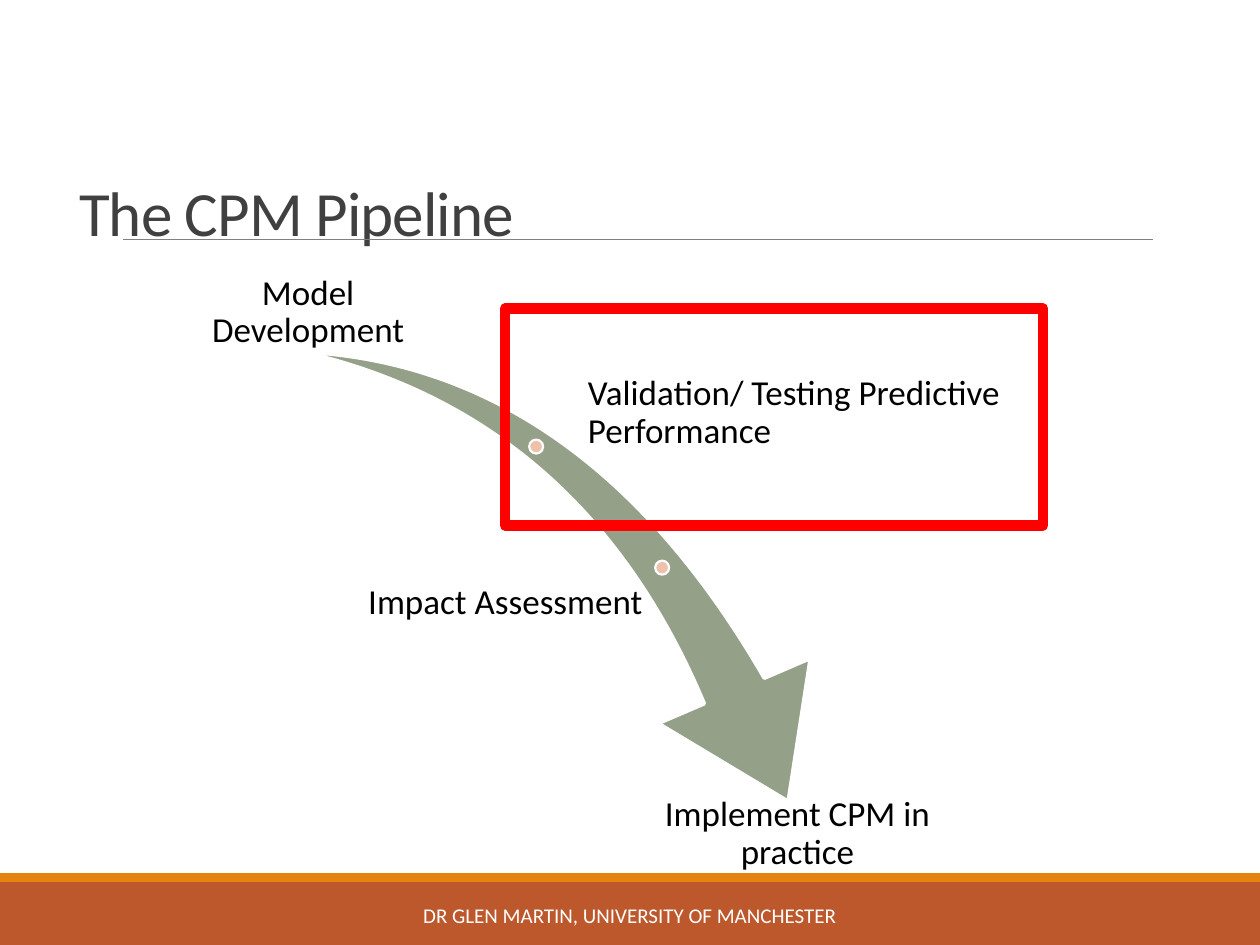
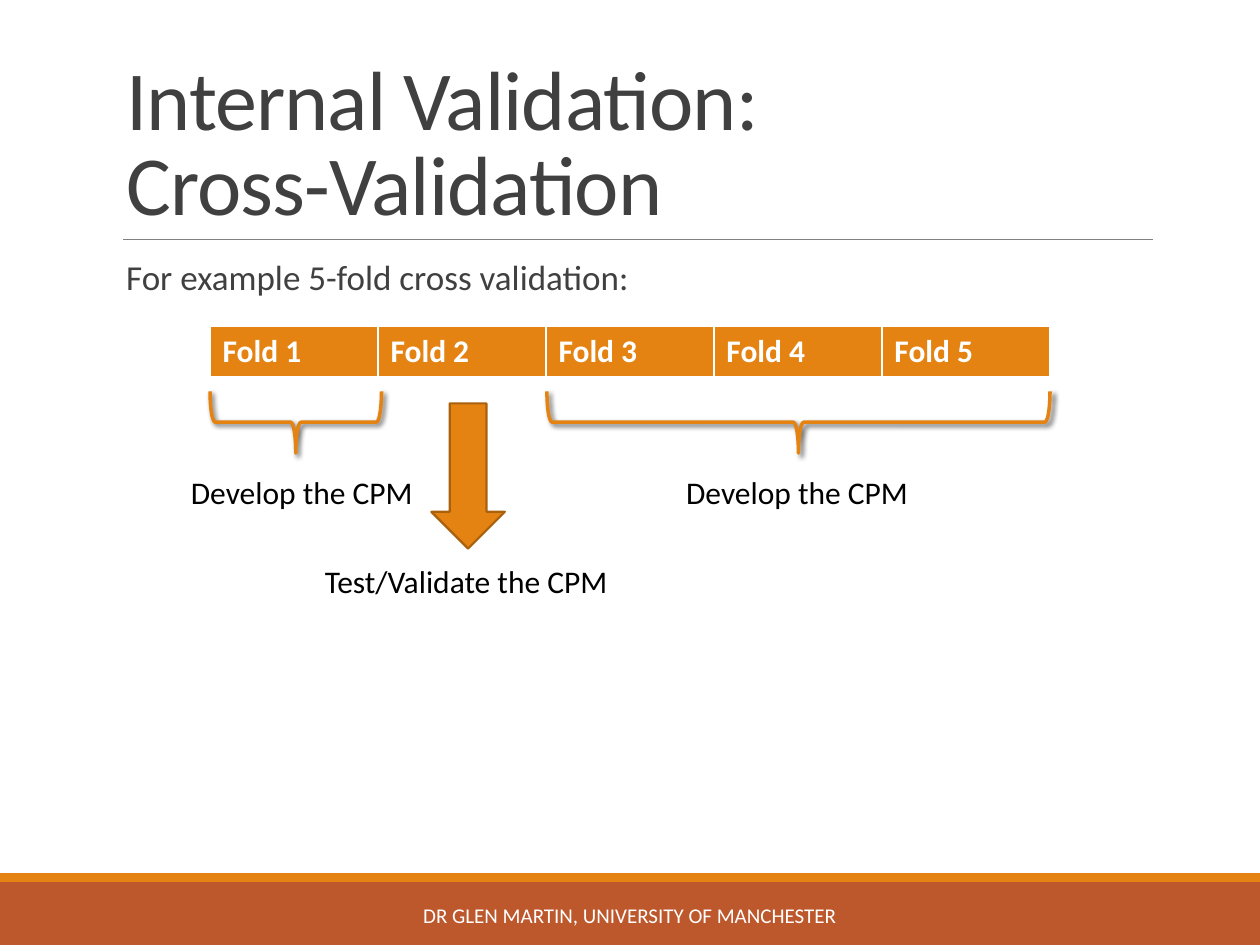
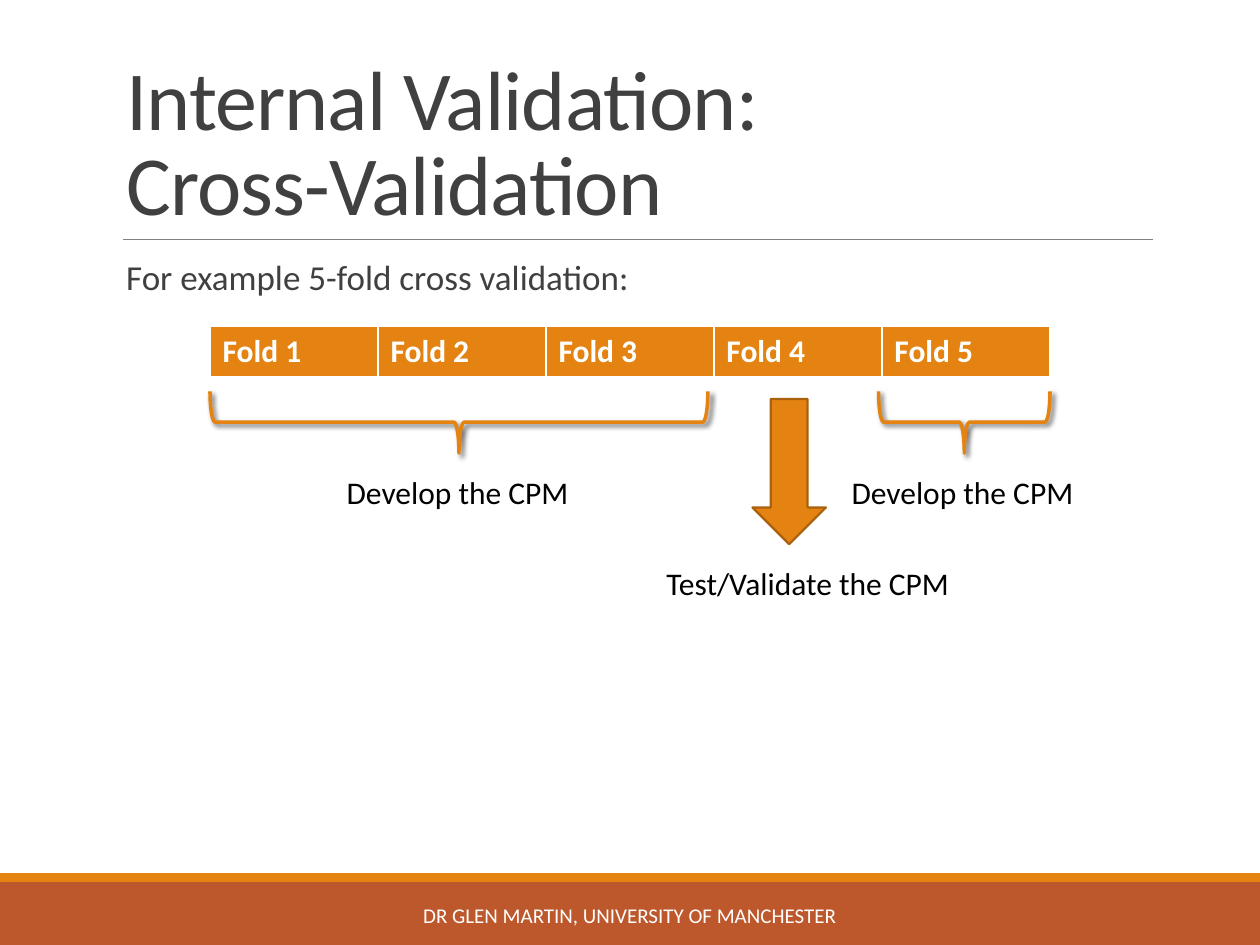
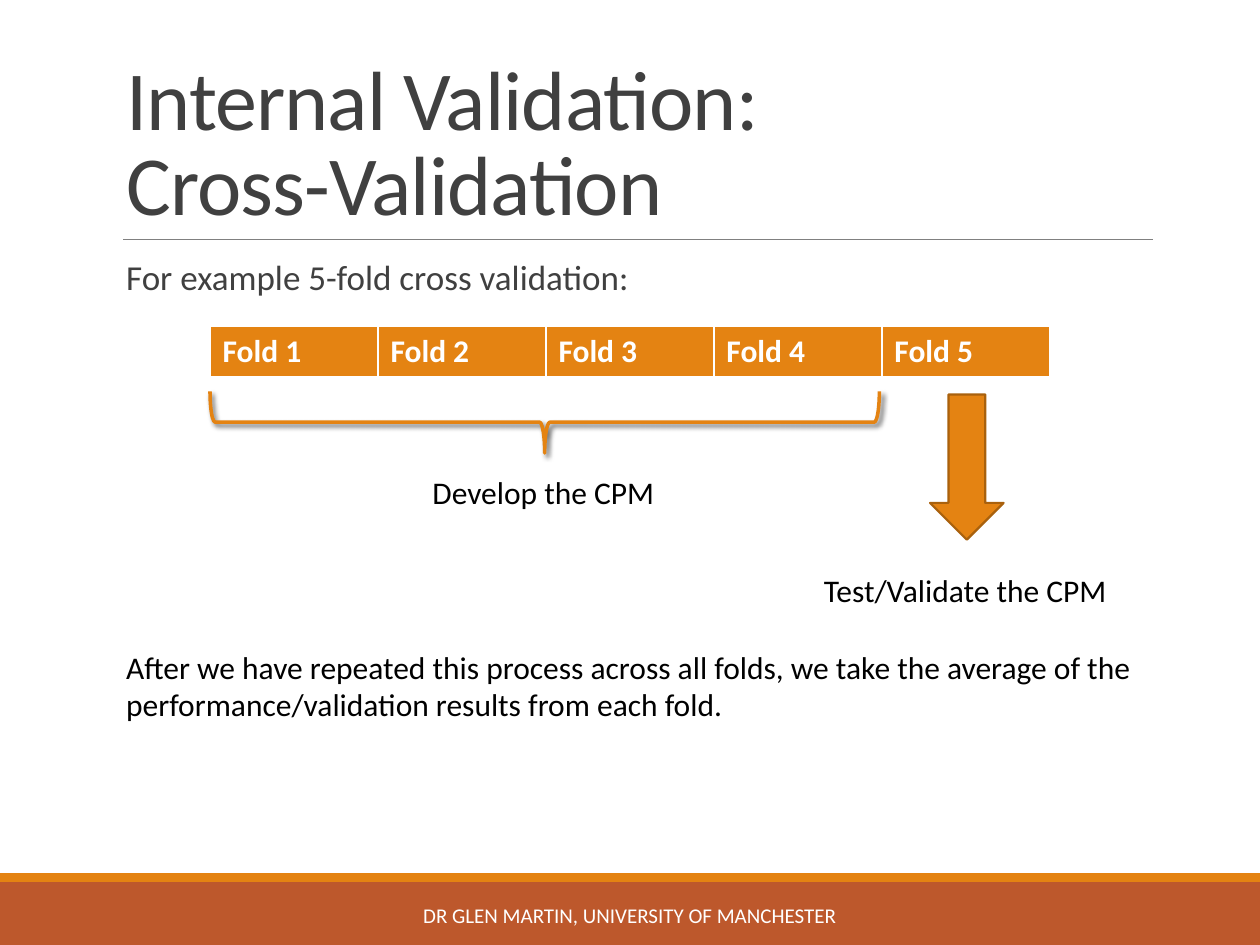
import pptx
import pptx.dml.color
import pptx.enum.shapes
import pptx.enum.text
import pptx.oxml
import pptx.oxml.ns
import pptx.util

Pt = pptx.util.Pt
RGBColor = pptx.dml.color.RGBColor
SHAPE = pptx.enum.shapes.MSO_SHAPE
ALIGN = pptx.enum.text.PP_ALIGN
ANCHOR = pptx.enum.text.MSO_ANCHOR

WHITE = RGBColor(0xFF, 0xFF, 0xFF)
BLACK = RGBColor(0, 0, 0)
CHARCOAL = RGBColor(0x40, 0x40, 0x40)
GREY = RGBColor(0x80, 0x80, 0x80)
ORANGE = RGBColor(0xE4, 0x83, 0x12)
DARK_ORANGE = RGBColor(0xA9, 0x61, 0x0D)
RUST = RGBColor(0xBD, 0x58, 0x2C)
SAGE = RGBColor(0x94, 0xA0, 0x88)
PEACH = RGBColor(0xEF, 0xC1, 0xAB)
RED = RGBColor(0xFF, 0, 0)
FONT = "Calibri"

FOOTER = "DR GLEN MARTIN, UNIVERSITY OF MANCHESTER"
PIPELINE_TITLE = "The CPM Pipeline"
PIPELINE_STAGES = [
    ("Model Development", (99.4, 141.8, 153.4, 60.5), ALIGN.CENTER, ANCHOR.BOTTOM),
    ("Validation/ Testing Predictive Performance", (334, 206, 278.6, 60.5),
     ALIGN.LEFT, ANCHOR.MIDDLE),
    ("Impact Assessment", (130.3, 314.6, 239, 60.5), ALIGN.RIGHT, ANCHOR.MIDDLE),
    ("Implement CPM in practice", (352, 453, 207.4, 60.5), ALIGN.CENTER, ANCHOR.TOP),
]
PIPELINE_DOTS = [(302.4, 251.2), (374.4, 320.4)]
DOT_SIZE = 8

VALIDATION_TITLE = "Internal Validation: Cross-Validation"
INTRODUCTION = "For example 5-fold cross validation:"
FOLDS = [f"Fold {number}" for number in range(1, 6)]
DEVELOP = "Develop the CPM"
TEST = "Test/Validate the CPM"
CONCLUSION = ("After we have repeated this process across all folds, we take the average of "
              "the performance/validation results from each fold.")
VALIDATION_ROUNDS = [
    {"braces": [(120, 98, 102), (312.5, 287.5, 385)],
     "arrow": (246.5, 230.5), "test": (178.5, 317.5)},
    {"braces": [(120, 284.5, 191), (502, 98, 479.5)],
     "arrow": (430, 228), "test": (373.7, 319)},
    {"braces": [(120, 382.5, 240)],
     "arrow": (531.5, 225.4), "test": (463.7, 322.6), "conclusion": CONCLUSION},
]
TABLE_LEFT, TABLE_TOP, FOLD_WIDTH, FOLD_HEIGHT = 120, 186.5, 96, 29.5
BRACE_TOP, BRACE_DEPTH = 223.6, 35.3
DEVELOP_TOP = 267


def points(*values):
    return [Pt(value) for value in values]


def write(frame, text, size=18, color=BLACK, bold=False, align=ALIGN.LEFT,
          anchor=ANCHOR.TOP, line_spacing=None, tracking=None, inset=None, wrap=True):
    frame.word_wrap = wrap
    frame.auto_size = pptx.enum.text.MSO_AUTO_SIZE.NONE
    frame.vertical_anchor = anchor
    if inset is not None:
        frame.margin_left = frame.margin_right = Pt(inset)
        frame.margin_top = frame.margin_bottom = Pt(inset)
    paragraph = frame.paragraphs[0]
    paragraph.alignment = align
    if line_spacing:
        paragraph.line_spacing = line_spacing
    run = paragraph.add_run()
    run.text = text
    run.font.name = FONT
    run.font.size = Pt(size)
    run.font.bold = bold
    run.font.color.rgb = color
    if tracking:
        run.font._element.set("spc", str(round(tracking * 100)))


def add_text(slide, box, text, **text_format):
    write(slide.shapes.add_textbox(*points(*box)).text_frame, text, **text_format)


def add_shape(slide, preset, box, fill=None, line=None, width=1):
    shape = slide.shapes.add_shape(preset, *points(*box))
    shape.shadow.inherit = False
    if fill is None:
        shape.fill.background()
    else:
        shape.fill.solid()
        shape.fill.fore_color.rgb = fill
    if line is None:
        shape.line.fill.background()
    else:
        shape.line.color.rgb = line
        shape.line.width = Pt(width)
    return shape


def add_slide(presentation, title, title_box, title_size):
    slide = presentation.slides.add_slide(presentation.slide_layouts[5])
    placeholder = slide.shapes.title
    placeholder.left, placeholder.top, placeholder.width, placeholder.height = points(*title_box)
    write(placeholder.text_frame, title, size=title_size, color=CHARCOAL,
          anchor=ANCHOR.BOTTOM, line_spacing=0.85, tracking=-0.5)
    add_shape(slide, SHAPE.RECTANGLE, (0, 504, 720, 36), RUST)
    add_shape(slide, SHAPE.RECTANGLE, (0, 499, 720, 5), ORANGE)
    rule = slide.shapes.add_connector(
        pptx.enum.shapes.MSO_CONNECTOR.STRAIGHT, *points(70.5, 136.8, 659, 136.8))
    rule.line.color.rgb = GREY
    rule.line.width = Pt(0.5)
    rule._element.spPr.append(pptx.oxml.parse_xml(
        f'<a:effectLst {pptx.oxml.ns.nsdecls("a")}/>'))
    add_text(slide, (217.5, 508.5, 285, 28.8), FOOTER, size=12, color=WHITE,
             align=ALIGN.CENTER, anchor=ANCHOR.MIDDLE)
    return slide


def add_fold_table(slide):
    table = slide.shapes.add_table(
        1, len(FOLDS),
        *points(TABLE_LEFT, TABLE_TOP, FOLD_WIDTH * len(FOLDS), FOLD_HEIGHT)).table
    for column, fold in enumerate(FOLDS):
        table.columns[column].width = Pt(FOLD_WIDTH)
        cell = table.cell(0, column)
        cell.fill.solid()
        cell.fill.fore_color.rgb = ORANGE
        write(cell.text_frame, fold, color=WHITE, bold=True)
        properties = cell._tc.get_or_add_tcPr()
        for index, (side, width) in enumerate([("L", 1), ("R", 1), ("T", 1), ("B", 3)]):
            properties.insert(index, pptx.oxml.parse_xml(
                f'<a:ln{side} {pptx.oxml.ns.nsdecls("a")} w="{Pt(width)}">'
                f'<a:solidFill><a:srgbClr val="{WHITE}"/></a:solidFill></a:ln{side}>'))


def add_brace(slide, left, width):
    box = (left + (width - BRACE_DEPTH) / 2, BRACE_TOP + (BRACE_DEPTH - width) / 2,
           BRACE_DEPTH, width)
    brace = add_shape(slide, SHAPE.RIGHT_BRACE, box, line=ORANGE, width=2)
    brace.rotation = 90
    effects = brace._element.spPr.find(pptx.oxml.ns.qn("a:effectLst"))
    effects.append(pptx.oxml.parse_xml(
        f'<a:outerShdw {pptx.oxml.ns.nsdecls("a")} blurRad="{Pt(3)}" dist="{Pt(2)}" '
        f'dir="2700000" rotWithShape="0"><a:srgbClr val="{BLACK}">'
        f'<a:alpha val="60000"/></a:srgbClr></a:outerShdw>'))


def add_pipeline_slide(presentation):
    slide = add_slide(presentation, PIPELINE_TITLE, (38, 36, 661, 110), 36)
    swoosh = add_shape(slide, SHAPE.SWOOSH_ARROW, (166.3, 211, 325.4, 226.8), SAGE, WHITE, 2)
    swoosh.rotation = 73.3
    swoosh.adjustments[0] = 0.163
    swoosh.adjustments[1] = 0.314
    for left, top in PIPELINE_DOTS:
        add_shape(slide, SHAPE.OVAL, (left, top, DOT_SIZE, DOT_SIZE), PEACH, WHITE, 1.25)
    for stage, box, align, anchor in PIPELINE_STAGES:
        add_text(slide, box, stage, size=20, align=align, anchor=anchor,
                 line_spacing=0.9, inset=2)
    add_shape(slide, SHAPE.RECTANGLE, (288.7, 176.4, 307.4, 123.8), line=RED, width=6)


def add_validation_slide(presentation, validation_round):
    slide = add_slide(presentation, VALIDATION_TITLE, (65, 22.3, 438, 114.5), 48)
    add_text(slide, (65, 145.4, 594, 32.4), INTRODUCTION, size=20, color=CHARCOAL,
             line_spacing=0.9)
    add_fold_table(slide)
    for left, width, label_left in validation_round["braces"]:
        add_brace(slide, left, width)
        add_text(slide, (label_left, DEVELOP_TOP, 142.5, 29), DEVELOP, wrap=False)
    add_shape(slide, SHAPE.DOWN_ARROW, (*validation_round["arrow"], 42, 83),
              ORANGE, DARK_ORANGE, 1.25)
    add_text(slide, (*validation_round["test"], 178, 29), TEST, wrap=False)
    if "conclusion" in validation_round:
        add_text(slide, (65, 366.5, 603.4, 51), validation_round["conclusion"])


def main():
    presentation = pptx.Presentation()
    presentation.slide_width, presentation.slide_height = points(720, 540)
    add_pipeline_slide(presentation)
    for validation_round in VALIDATION_ROUNDS:
        add_validation_slide(presentation, validation_round)
    presentation.save("out.pptx")


if __name__ == "__main__":
    main()
